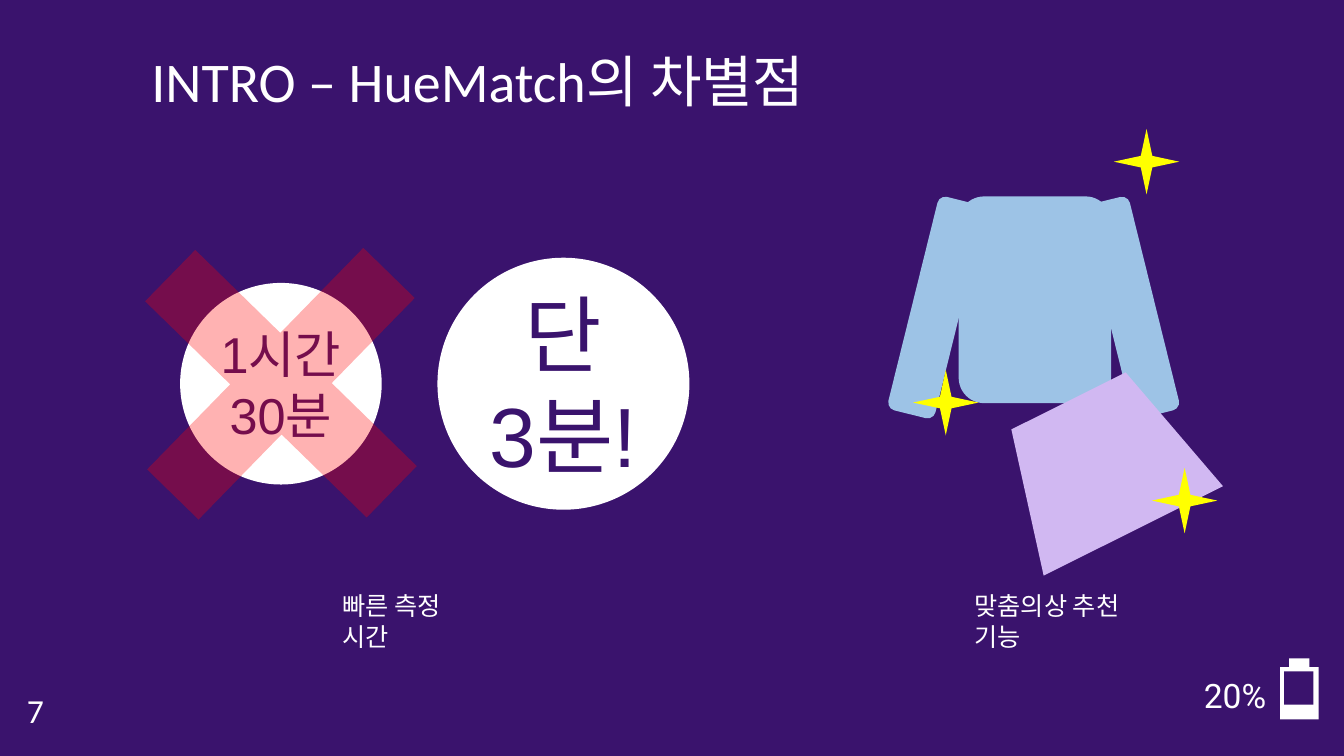
from lxml import etree
from pptx import Presentation
from pptx import util as u
from pptx.dml.color import RGBColor
from pptx.enum import shapes, text
from pptx.oxml import ns

PURPLE, WHITE, BLUE, LILAC, YELLOW, RED = (
    "3A136D", "FFFFFF", "9DC3E6", "D1B8F2", "FFFF00", "FF0000")
SHAPE = shapes.MSO_SHAPE
ALIGN = text.PP_ALIGN


def color(target, value):
    target.rgb = RGBColor.from_string(value)


def write(frame, *lines, size=18, font="Calibri", ink=WHITE,
          align=ALIGN.LEFT, anchor=text.MSO_ANCHOR.TOP):
    frame.word_wrap = True
    frame.auto_size = text.MSO_AUTO_SIZE.NONE
    frame.vertical_anchor = anchor
    for index, line in enumerate(lines):
        para = frame.add_paragraph() if index else frame.paragraphs[0]
        para.alignment = align
        span = para.add_run()
        span.text = line
        span.font.size = u.Pt(size)
        span.font.name = font
        color(span.font.color, ink)


class IntroSlide:
    """Style and current slide, with one method for each kind of element."""

    def __init__(self, deck):
        self.page = deck.slides.add_slide(deck.slide_layouts[5])
        background = self.page.background.fill
        background.solid()
        color(background.fore_color, PURPLE)

    def title(self, words, left, top, width, height):
        box = self.page.shapes.title
        box.left, box.top, box.width, box.height = map(u.Cm, (left, top, width, height))
        write(box.text_frame, words, size=40, anchor=text.MSO_ANCHOR.MIDDLE)

    def label(self, words, left, top, width, height, **style):
        box = self.page.shapes.add_textbox(*map(u.Cm, (left, top, width, height)))
        write(box.text_frame, words, **style)

    def shape(self, kind, fill, left, top, width, height, turn=0, alpha=None):
        box = self.page.shapes.add_shape(kind, *map(u.Cm, (left, top, width, height)))
        box.shadow.inherit = False
        box.line.fill.background()
        box.fill.solid()
        color(box.fill.fore_color, fill)
        box.rotation = turn
        if alpha:
            tint = box.fill._xPr.find(".//" + ns.qn("a:srgbClr"))
            etree.SubElement(tint, ns.qn("a:alpha")).set("val", str(alpha * 1000))
        return box

    def disc(self, lines, center_x, center_y, diameter, halo, size):
        for fill, span in ((PURPLE, halo), (WHITE, diameter)):
            box = self.shape(SHAPE.OVAL, fill, center_x - span / 2,
                             center_y - span / 2, span, span)
        write(box.text_frame, *lines, size=size, font="Arial", ink=PURPLE,
              align=ALIGN.CENTER, anchor=text.MSO_ANCHOR.MIDDLE)


def main():
    deck = Presentation()
    deck.slide_width, deck.slide_height = u.Cm(33.87), u.Cm(19.05)
    intro = IntroSlide(deck)
    intro.title("INTRO – HueMatch의 차별점", 3.56, 1.04, 30.28, 1.96)

    intro.shape(SHAPE.RECTANGLE, WHITE, 32.26, 16.81, 0.97, 1.32)
    intro.shape(SHAPE.RECTANGLE, WHITE, 32.49, 16.59, 0.51, 0.23)
    intro.shape(SHAPE.RECTANGLE, PURPLE, 32.36, 16.92, 0.74, 0.84)
    intro.label("20%", 29.9, 16.89, 2.26, 1.27, size=24, font="Roboto", align=ALIGN.RIGHT)

    intro.shape(SHAPE.ROUNDED_RECTANGLE, BLUE, 24.16, 4.95, 3.84, 5.21)
    for left, turn in ((22.99, 13.9), (27.89, -13.9)):
        intro.shape(SHAPE.ROUNDED_RECTANGLE, BLUE, left, 4.98, 1.22, 5.54, turn)
    intro.shape(SHAPE.TRAPEZOID, LILAC, 25.22, 9.91, 5.05, 3.66, -26.5)
    for left, top in ((28.07, 3.25), (23.01, 9.32), (29.03, 11.79)):
        intro.shape(SHAPE.STAR_4_POINT, YELLOW, left, top, 1.65, 1.65)

    intro.disc(("단", "3분!"), 14.2, 9.67, 6.35, 7.8, 60)
    intro.disc(("1시간", "30분"), 7.08, 9.67, 5.08, 6.22, 36)
    cross = intro.shape(SHAPE.CROSS, RED, 3.18, 5.77, 7.8, 7.8, 44.3, alpha=30)
    cross.adjustments[0] = 0.384

    intro.label("맞춤의상 추천 기능", 24.31, 14.76, 5.31, 1.02, font="Lato")
    intro.label("빠른 측정 시간", 8.38, 14.76, 4.19, 1.02, font="Lato")
    intro.label("7", 0.43, 17.25, 1.07, 1.27, size=24)
    deck.save("out.pptx")


if __name__ == "__main__":
    main()
